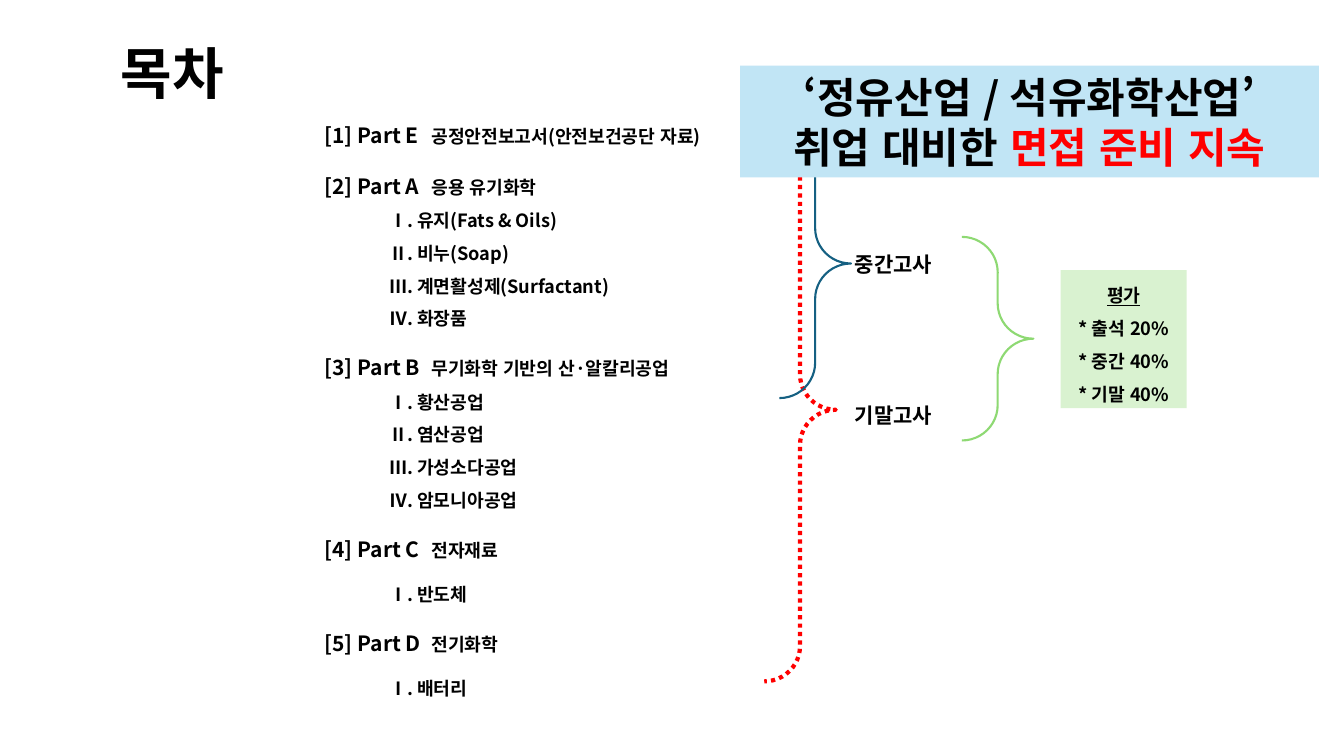
from lxml import etree
from pptx import Presentation
from pptx import util as u
from pptx.dml.color import RGBColor
from pptx.enum import dml, lang, shapes, text
from pptx.oxml.ns import qn

FONT = "Noto Sans CJK KR"
COLORS = {
    "ink": "000000", "red": "FF0000", "navy": "156082", "green": "8ED973",
    "pale_green": "D9F2D0", "pale_blue": "C1E5F5",
}

deck = Presentation()
deck.slide_width, deck.slide_height = u.Inches(13.33), u.Inches(7.5)
page = deck.slides.add_slide(deck.slide_layouts[6])


def add_box(left, top, width, height, fill=None):
    """Add a text box, or a filled rectangle when a fill is given."""
    place = [u.Inches(n) for n in (left, top, width, height)]
    if fill:
        box = page.shapes.add_shape(shapes.MSO_SHAPE.RECTANGLE, *place)
        box.shadow.inherit = False
        box.fill.solid()
        box.fill.fore_color.rgb = RGBColor.from_string(COLORS[fill])
        box.line.fill.background()
        box.text_frame.vertical_anchor = text.MSO_ANCHOR.MIDDLE
    else:
        box = page.shapes.add_textbox(*place)
    box.text_frame.word_wrap = True
    return box.text_frame


def add_para(frame, spans, spacing=1.0, align=text.PP_ALIGN.LEFT, indent=0, tab=0):
    """Write one paragraph from (text, size, color, underline) spans."""
    first = frame.paragraphs[0]
    para = frame.add_paragraph() if first.runs else first
    para.line_spacing, para.alignment = spacing, align
    props = para._p.get_or_add_pPr()
    if indent:
        props.set("marL", str(u.Inches(indent)))
        props.set("indent", "0")
    if tab:
        stops = etree.SubElement(props, qn("a:tabLst"))
        etree.SubElement(stops, qn("a:tab"), pos=str(u.Inches(tab)), algn="l")
    for words, size, color, underline in spans:
        span = para.add_run()
        span.text = words
        look = {"name": FONT, "size": u.Pt(size), "bold": True, "underline": underline,
                "language_id": lang.MSO_LANGUAGE_ID.KOREAN}
        for key, value in look.items():
            setattr(span.font, key, value)
        span.font.color.rgb = RGBColor.from_string(COLORS[color])
        etree.SubElement(span._r.get_or_add_rPr(), qn("a:ea"), typeface=FONT)


# Title
add_para(add_box(1.1, 0.33, 1.42, 0.77), [("목차", 40, "ink", False)])

# Contents: part, subject, spacing of its chapters, chapters
parts = [
    ("[1] Part E", "공정안전보고서(안전보건공단 자료)", 2.0, []),
    ("[2] Part A", "응용 유기화학", 1.5,
     ["Ⅰ. 유지(Fats & Oils)", "Ⅱ. 비누(Soap)", "Ⅲ. 계면활성제(Surfactant)", "Ⅳ. 화장품"]),
    ("[3] Part B", "무기화학 기반의 산·알칼리공업", 1.5,
     ["Ⅰ. 황산공업", "Ⅱ. 염산공업", "Ⅲ. 가성소다공업", "Ⅳ. 암모니아공업"]),
    ("[4] Part C", "전자재료", 2.0, ["Ⅰ. 반도체"]),
    ("[5] Part D", "전기화학", 2.0, ["Ⅰ. 배터리"]),
]
contents = add_box(3.12, 0.92, 4.46, 6.06)
for part, subject, spacing, chapters in parts:
    heading = [(part, 15, "ink", False), ("\t" + subject, 13, "ink", False)]
    add_para(contents, heading, 2.0, tab=1.06)
    for chapter in chapters:
        add_para(contents, [(chapter, 13, "ink", False)], spacing, indent=0.64)

# Braces that group the parts into exams, and the exams into the grade
braces = [
    (7.58, 1.37, 5.39, "red", 3, dml.MSO_LINE.ROUND_DOT),
    (7.73, 1.28, 2.67, "navy", 1.5, dml.MSO_LINE.SOLID),
    (9.54, 2.35, 2.02, "green", 1.5, dml.MSO_LINE.SOLID),
]
for left, top, height, color, weight, dash in braces:
    brace = page.shapes.add_shape(
        shapes.MSO_SHAPE.RIGHT_BRACE,
        u.Inches(left), u.Inches(top), u.Inches(0.71), u.Inches(height))
    brace.shadow.inherit = False
    brace.adjustments[0], brace.adjustments[1] = 0.495, 0.5
    brace.fill.background()
    brace.line.color.rgb = RGBColor.from_string(COLORS[color])
    brace.line.width = u.Pt(weight)
    brace.line.dash_style = dash

# Exam labels
for exam, top in [("중간고사", 2.45), ("기말고사", 3.94)]:
    add_para(add_box(8.38, top, 1.25, 0.35), [(exam, 15, "ink", False)])

# Grading box
grading = add_box(10.52, 2.68, 1.25, 1.37, "pale_green")
for row, words in enumerate(["평가", "* 출석 20%", "* 중간 40%", "* 기말 40%"]):
    add_para(grading, [(words, 13, "ink", row == 0)], 1.5, text.PP_ALIGN.CENTER)

# Banner
banner = add_box(7.34, 0.65, 5.74, 1.11, "pale_blue")
for spans in (
    [("‘정유산업 / 석유화학산업’", 30, "ink", False)],
    [("취업 대비한 ", 30, "ink", False), ("면접 준비 지속", 30, "red", False)],
):
    add_para(banner, spans, align=text.PP_ALIGN.CENTER)

deck.save("out.pptx")
